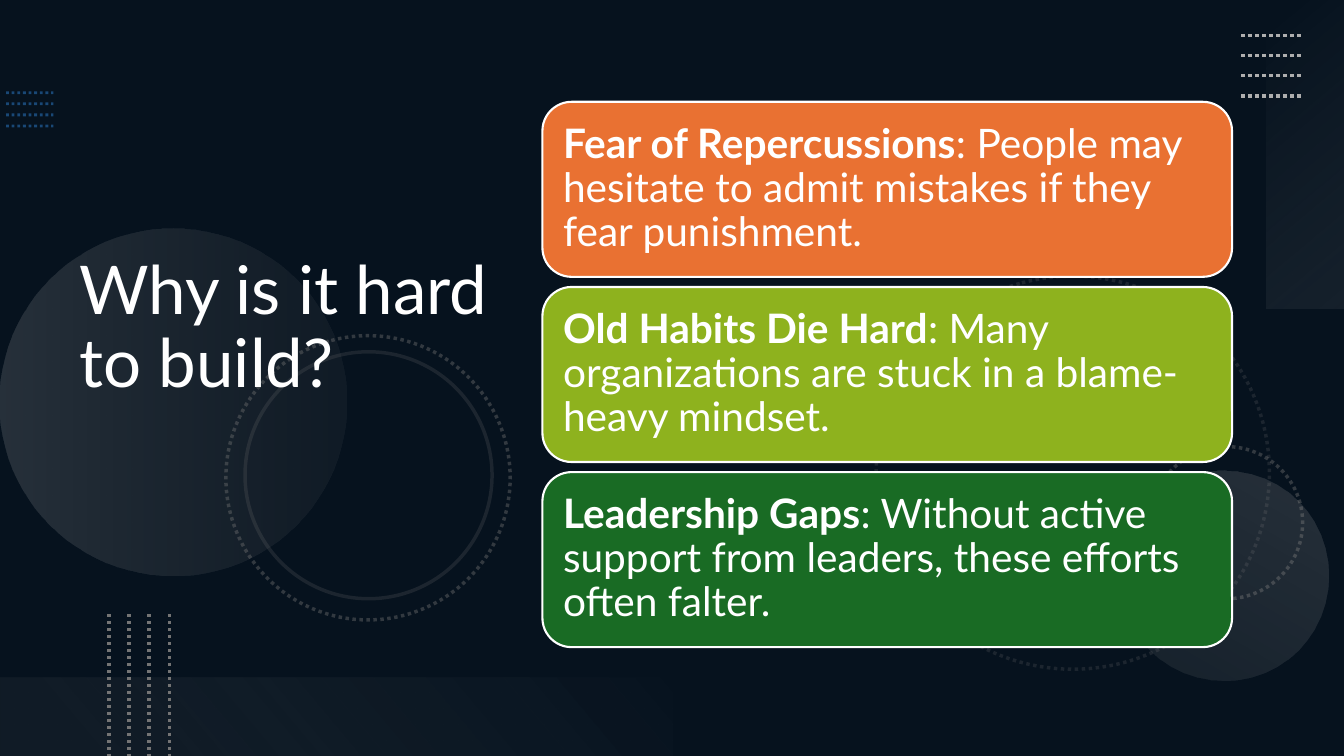
from lxml import etree
from pptx import Presentation
from pptx.dml.color import RGBColor
from pptx.enum.dml import MSO_LINE
from pptx.enum.shapes import MSO_CONNECTOR, MSO_SHAPE
from pptx.enum.text import MSO_ANCHOR, PP_ALIGN
from pptx.oxml.ns import qn
from pptx.util import Inches, Pt

RECT, ROUND, OVAL = MSO_SHAPE.RECTANGLE, MSO_SHAPE.ROUNDED_RECTANGLE, MSO_SHAPE.OVAL
STRAIGHT = MSO_CONNECTOR.STRAIGHT
DOTS = MSO_LINE.ROUND_DOT
MIDDLE = MSO_ANCHOR.MIDDLE
LEFT = PP_ALIGN.LEFT

NAVY = RGBColor(0x0E, 0x28, 0x41)
BLACK = RGBColor(0, 0, 0)
WHITE = RGBColor(0xFF, 0xFF, 0xFF)
BLUE = RGBColor(0x2D, 0x7F, 0xCF)
GREY = RGBColor(0x74, 0x74, 0x74)
SILVER = RGBColor(0xAE, 0xAE, 0xAE)
PALE = RGBColor(0xF6, 0xF6, 0xF6)
MIST = RGBColor(0xF1, 0xF1, 0xF1)
ORANGE = RGBColor(0xE9, 0x71, 0x32)
LIME = RGBColor(0x8E, 0xB2, 0x1E)
GREEN = RGBColor(0x19, 0x6B, 0x24)

FONT = "Lato"
WIDTH, HEIGHT = 13.33, 7.5
CARDS = [
    (ORANGE, "Fear of Repercussions",
     ": People may hesitate to admit mistakes if they fear punishment."),
    (LIME, "Old Habits Die Hard",
     ": Many organizations are stuck in a blame-heavy mindset."),
    (GREEN, "Leadership Gaps",
     ": Without active support from leaders, these efforts often falter."),
]


def fade(shape, *levels):
    """Set the opacity, in percent, of the shape's colours in turn."""
    for color, level in zip(shape.element.iter(qn("a:srgbClr")), levels):
        etree.SubElement(color, qn("a:alpha")).set("val", str(level * 1000))


def add_form(slide, kind, box, turn=0):
    """Add a shape without shadow, fill or line."""
    form = slide.shapes.add_shape(kind, *map(Inches, box))
    form.rotation = turn
    form.shadow.inherit = False
    form.fill.background()
    form.line.fill.background()
    return form


def add_glow(slide, kind, box, turn, angle, stops):
    """Add a shape with a see-through gradient."""
    glow = add_form(slide, kind, box, turn)
    glow.fill.gradient()
    glow.fill.gradient_angle = 360 - angle
    for stop, (place, color, _) in zip(glow.fill.gradient_stops, stops):
        stop.position = place
        stop.color.rgb = color
    fade(glow, *(level for _, _, level in stops))


def add_ring(slide, box, turn, level, dash=DOTS):
    """Add a faint circle outline."""
    ring = add_form(slide, OVAL, box, turn)
    ring.line.color.rgb = GREY
    ring.line.width = Pt(2.5)
    ring.line.dash_style = dash
    fade(ring, level)


def add_dots(slide, box, color, size=2.5, level=100, upright=False):
    """Spread four dotted lines evenly over the box."""
    left, top, width, height = box
    for step in range(4):
        part = step / 3
        if upright:
            x = left + width * part
            ends = x, top, x, top + height
        else:
            y = top + height * part
            ends = left, y, left + width, y
        row = slide.shapes.add_connector(STRAIGHT, *map(Inches, ends))
        row.line.color.rgb = color
        row.line.width = Pt(size)
        row.line.dash_style = DOTS
        etree.SubElement(row.element.find(qn("p:spPr")), qn("a:effectLst"))
        fade(row, level)


def add_scene(slide, box):
    """Draw the dark backdrop with its circles, bands and dots."""
    left, top, width, height = box
    right, base = left + width, top + height
    slide.background.fill.solid()
    slide.background.fill.fore_color.rgb = NAVY
    shade = add_form(slide, RECT, box)
    shade.fill.solid()
    shade.fill.fore_color.rgb = BLACK
    fade(shade, 53)

    add_dots(slide, (left + 0.06, top + 0.92, 0.47, 0.33), BLUE, 2, 50)
    add_ring(slide, (right - 4.64, top + 2.74, 3.9, 3.9), 75, 20)
    add_ring(slide, (right - 1.92, top + 4.43, 1.51, 1.51), 270, 40)
    add_glow(slide, OVAL, (left, top + 2.27, 3.44, 3.44), 270, 90,
             [(0, SILVER, 20), (1, GREY, 10)])
    add_glow(slide, OVAL, (right - 2.23, top + 4.67, 2.08, 2.08), 210, 90,
             [(0, SILVER, 10), (1, SILVER, 20)])
    add_ring(slide, (left + 2.24, top + 3.33, 2.82, 2.82), 75, 40)
    add_ring(slide, (left + 2.43, top + 3.49, 2.45, 2.45), 75, 20, MSO_LINE.SOLID)
    add_glow(slide, RECT, (right - 1.91, top + 1.14, 3.06, 0.78), 270, 140,
             [(0, PALE, 0), (1, SILVER, 10)])
    add_dots(slide, (right - 1.02, top + 0.35, 0.6, 0.6), SILVER)
    add_glow(slide, RECT, (left, base - 0.78, width / 2, 0.78), 180, 140,
             [(0.1, GREY, 10), (1, MIST, 0)])
    add_dots(slide, (left + 1.08, base - 1.41, 0.6, 1.41), GREY, upright=True)


def add_title(slide, box):
    """Place the title above the backdrop."""
    title = slide.shapes.title
    slide.shapes.element.append(title.element)
    title.left, title.top, title.width, title.height = map(Inches, box)
    frame = title.text_frame
    frame.text = "Why is it hard to build?"
    frame.word_wrap = True
    frame.vertical_anchor = MIDDLE
    frame.margin_bottom = Inches(0.77)
    para = frame.paragraphs[0]
    para.alignment = LEFT
    para.line_spacing = 0.9
    para.font.name = FONT
    para.font.size = Pt(48)
    para.font.color.rgb = WHITE


def add_cards(slide, box, gap):
    """Stack the reason cards in the box."""
    left, top, width, height = box
    tall = (height - gap * (len(CARDS) - 1)) / len(CARDS)
    for index, (color, head, body) in enumerate(CARDS):
        place = left, top + index * (tall + gap), width, tall
        card = add_form(slide, ROUND, place)
        card.fill.solid()
        card.fill.fore_color.rgb = color
        card.line.color.rgb = WHITE
        card.line.width = Pt(1.5)
        frame = card.text_frame
        frame.word_wrap = True
        frame.vertical_anchor = MIDDLE
        frame.margin_left = frame.margin_right = Inches(0.12)
        frame.margin_top = frame.margin_bottom = Inches(0.12)
        para = frame.paragraphs[0]
        para.alignment = LEFT
        para.line_spacing = 0.9
        para.font.name = FONT
        para.font.size = Pt(29)
        para.font.color.rgb = WHITE
        lead = para.add_run()
        lead.text = head
        lead.font.bold = True
        para.add_run().text = body


def main():
    """Build and save the slide."""
    deck = Presentation()
    deck.slide_width, deck.slide_height = Inches(WIDTH), Inches(HEIGHT)
    slide = deck.slides.add_slide(deck.slide_layouts[5])
    add_scene(slide, (0, 0, WIDTH, HEIGHT))
    add_title(slide, (0.69, 0.54, 4.59, 6.17))
    add_cards(slide, (5.38, 1.01, 6.84, 5.41), 0.1)
    deck.save("out.pptx")


if __name__ == "__main__":
    main()
